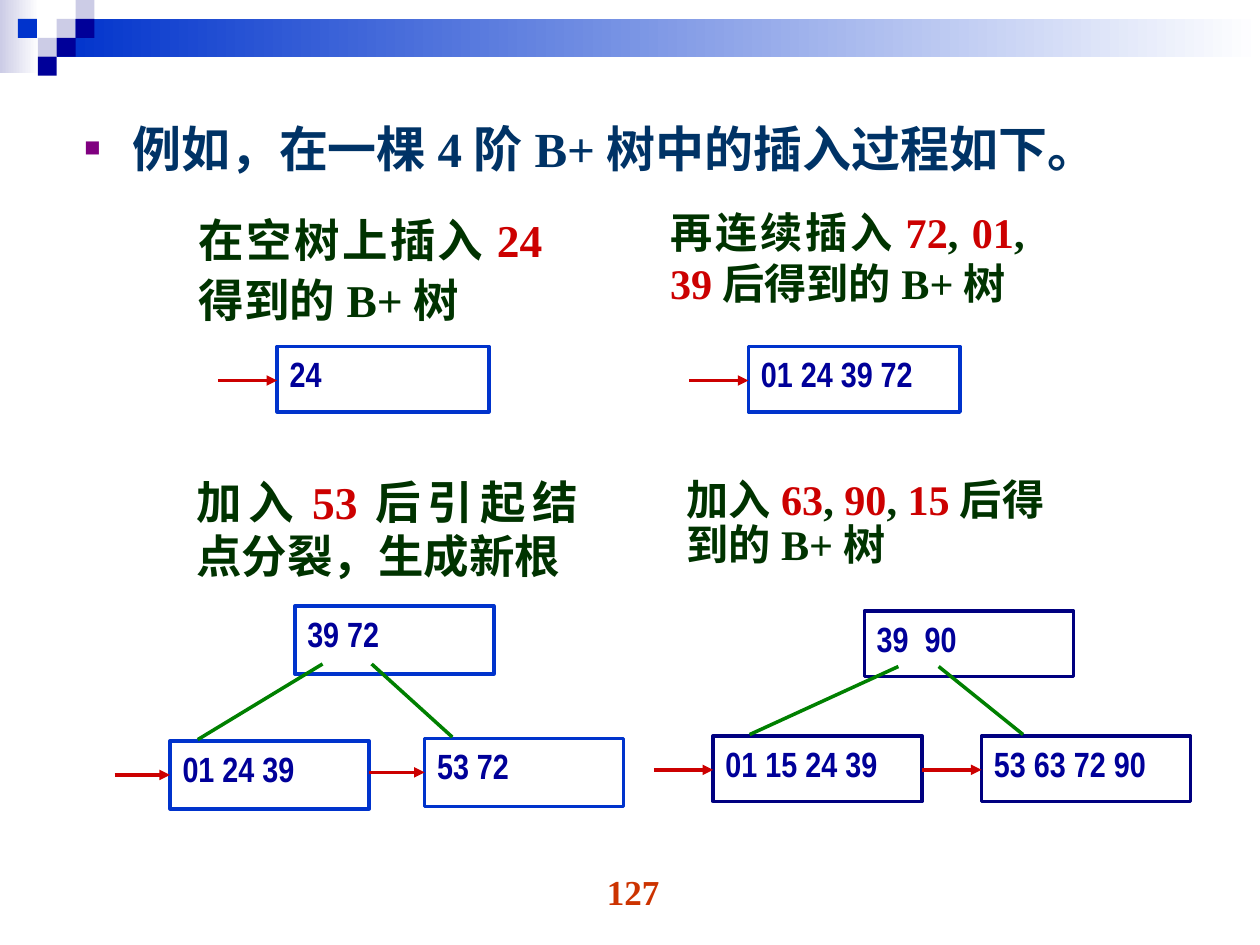
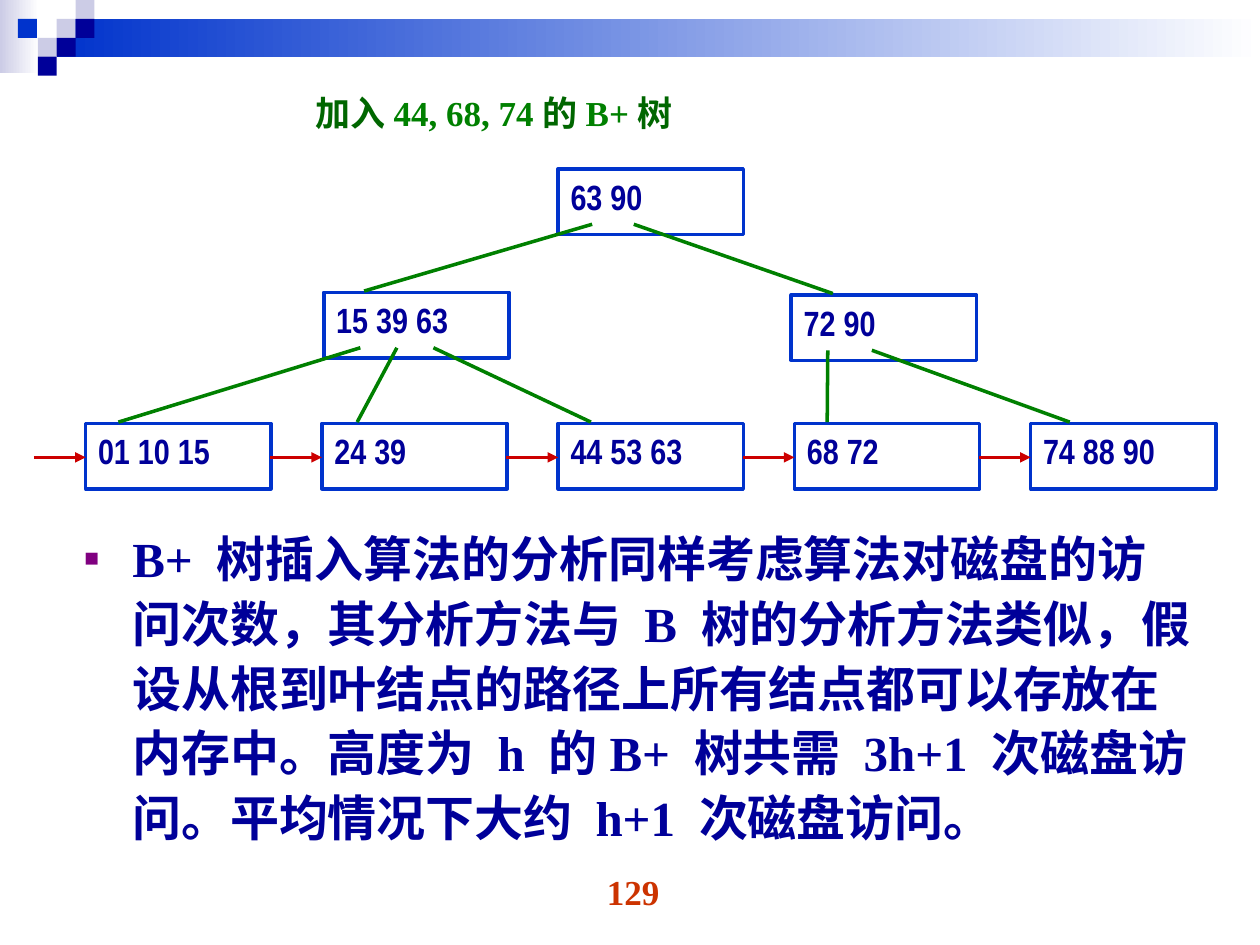
from dataclasses import dataclass

from lxml.etree import SubElement
from pptx import Presentation
from pptx.dml.color import RGBColor
from pptx.enum.shapes import MSO_CONNECTOR, MSO_SHAPE
from pptx.enum.text import MSO_ANCHOR, MSO_AUTO_SIZE, PP_ALIGN
from pptx.oxml.ns import qn
from pptx.util import Inches, Pt


@dataclass(frozen=True)
class Theme:
    """Colours, fonts and type sizes shared by the slides."""
    white: str = "FFFFFF"
    pale: str = "CCCCE6"
    blue: str = "0033CC"
    navy: str = "000099"
    dark_navy: str = "000080"
    headline: str = "003366"
    caption: str = "003300"
    red: str = "CC0000"
    edge: str = "008000"
    title: str = "006600"
    page: str = "CC3300"
    bullet: str = "800080"
    serif: str = "Times New Roman"
    narrow: str = "Arial Narrow"
    body_size: float = 28
    large_size: float = 26
    medium_size: float = 24.1
    small_size: float = 20
    line_width: float = 2


T = Theme()


def rgb(value):
    """Turn a hex string into a colour."""
    return RGBColor.from_string(value)


def set_all(target, values):
    """Set every attribute named in a dict."""
    for name, value in values.items():
        setattr(target, name, value)


def place(sp, box):
    """Move a shape to a box given in inches."""
    set_all(sp, dict(zip(("left", "top", "width", "height"), map(Inches, box))))


def write(sp, paragraphs, size, font=T.serif, align=PP_ALIGN.JUSTIFY, spacing=1.0):
    """Fill a shape with paragraphs of (text, colour) runs."""
    tf = sp.text_frame
    set_all(tf, {
        "word_wrap": True, "auto_size": MSO_AUTO_SIZE.NONE, "vertical_anchor": MSO_ANCHOR.TOP,
        "margin_left": Inches(0.1), "margin_right": Inches(0.1),
        "margin_top": Inches(0.05), "margin_bottom": Inches(0.05),
    })
    for i, runs in enumerate(paragraphs):
        p = tf.add_paragraph() if i else tf.paragraphs[0]
        set_all(p, {"alignment": align, "line_spacing": spacing, "space_before": Pt(0)})
        for text, color in runs:
            r = p.add_run()
            r.text = text
            set_all(r.font, {"name": font, "size": Pt(size), "bold": True})
            r.font.color.rgb = rgb(color)


def add_text(slide, box, paragraphs, size, **style):
    """Add a text box."""
    sp = slide.shapes.add_textbox(*map(Inches, box))
    write(sp, paragraphs, size, **style)


def add_rect(slide, box):
    """Add a plain rectangle without shadow or fill."""
    sp = slide.shapes.add_shape(MSO_SHAPE.RECTANGLE, *map(Inches, box))
    sp.shadow.inherit = False
    sp.fill.background()
    return sp


def add_line(slide, start, end, color, arrow=False):
    """Add a straight line, with an arrowhead at its end if asked."""
    line = slide.shapes.add_connector(MSO_CONNECTOR.STRAIGHT, *map(Inches, (*start, *end)))
    line.line.width = Pt(T.line_width)
    line.line.color.rgb = rgb(color)
    props = line.element.spPr
    if arrow:
        SubElement(props.find(qn("a:ln")), qn("a:tailEnd"), type="triangle")
    SubElement(props, qn("a:effectLst"))


def add_band(slide):
    """Build the header band and move it to the slide's layout."""
    unit = 0.15
    parts = [((0, 0, 0.31, 0.58), (T.pale, T.white)),
             ((0.45, unit, 9.55, 0.3), (T.blue, T.white))]
    squares = [(3, 1, T.pale), (4, 0, T.pale), (4, 1, T.navy), (2, 2, T.pale),
               (0.95, 1, T.blue), (3, 2, T.navy), (2, 3, T.navy)]
    parts += [((col * unit, row * unit, unit, unit), (color,)) for col, row, color in squares]
    for number, (box, colors) in enumerate(parts, 100):
        sp = add_rect(slide, box)
        sp.line.fill.background()
        if len(colors) == 1:
            sp.fill.solid()
            sp.fill.fore_color.rgb = rgb(colors[0])
        else:
            sp.fill.gradient()
            sp.fill.gradient_angle = 0
            for stop, color in zip(sp.fill.gradient_stops, colors):
                stop.color.rgb = rgb(color)
        sp.element.xpath(".//p:cNvPr")[0].set("id", str(number))
        slide.slide_layout.shapes.element.append(sp.element)


def add_page_number(slide, number):
    """Add the page number at the foot."""
    add_text(slide, (3.86, 6.86, 2.33, 0.52), [[(number, T.page)]], T.small_size,
             align=PP_ALIGN.CENTER)


def add_bullet(slide, box, text, color, bullet_percent):
    """Fill the body placeholder with one bulleted paragraph."""
    sp = slide.placeholders[1]
    place(sp, box)
    props = sp.text_frame.paragraphs[0]._p.get_or_add_pPr()
    props.set("marL", str(Inches(0.38)))
    props.set("indent", str(-Inches(0.38)))
    SubElement(SubElement(props, qn("a:buClr")), qn("a:srgbClr"), val=T.bullet)
    SubElement(props, qn("a:buSzPct"), val=str(bullet_percent * 1000))
    SubElement(props, qn("a:buChar"), char="■")
    write(sp, [[(text, color)]], T.body_size, align=PP_ALIGN.LEFT, spacing=1.1)


def add_tree(slide, origin, size, nodes, edges=(), arrow=0.47, outline=T.blue):
    """Draw nodes (x, y, keys, is_leaf) and edges (parent, offset, child, offset)."""
    width, height = size
    corners = [(origin[0] + x, origin[1] + y) for x, y, _, _ in nodes]
    for (x, y), (_, _, keys, is_leaf) in zip(corners, nodes):
        sp = add_rect(slide, (x, y, width, height))
        sp.line.width = Pt(T.line_width)
        sp.line.color.rgb = rgb(outline)
        write(sp, [[(keys, T.navy)]], T.small_size, font=T.narrow)
        if is_leaf:
            add_line(slide, (x - arrow, y + 0.27), (x, y + 0.27), T.red, arrow=True)
    for parent, start, child, end in edges:
        (px, py), (cx, cy) = corners[parent], corners[child]
        add_line(slide, (px + start, py + height - 0.08), (cx + end, cy - 0.01), T.edge)


def add_stage(slide, box, caption, size, spacing, tree):
    """Draw one insertion step: its caption and the tree below it."""
    add_text(slide, box, caption, size, spacing=spacing)
    add_tree(slide, box[:2], **tree)


def build_steps(slide):
    """Fill the slide with the four insertion steps."""
    slide.shapes.title.element.getparent().remove(slide.shapes.title.element)
    add_bullet(slide, (0.57, 0.84, 9, 0.94), "例如，在一棵4阶B+树中的插入过程如下。", T.headline, 55)
    dark, red = T.caption, T.red

    def single(keys):
        """Describe a tree of one leaf."""
        return {"size": (1.68, 0.52), "nodes": [(0.72, 1.16, keys, True)]}

    stages = [
        ((1.48, 1.59, 3.01, 1.06),
         [[("在空树上插入", dark), ("24", red), ("得到的B+树", dark)]],
         T.large_size, 1.1, single("24")),
        ((5.22, 1.59, 3.01, 1.06),
         [[("再连续插入", dark), ("72", red), (", ", dark), ("01", red), (", ", dark),
           ("39", red), ("后得到的B+树", dark)]],
         T.medium_size, 1.0, single("01 24 39 72")),
        ((1.46, 3.71, 3.23, 1.05),
         [[("加入", dark), ("53", red), ("后引起结点分裂，生成新根", dark)]],
         T.large_size, 1.0,
         {"size": (1.58, 0.54), "arrow": 0.44,
          "nodes": [(0.88, 1.1, "39 72", False), (-0.11, 2.17, "01 24 39", True),
                    (1.91, 2.15, "53 72", True)],
          "edges": [(0, 0.22, 1, 0.22), (0, 0.61, 2, 0.22)]}),
        ((5.35, 3.75, 3.35, 0.94),
         [[("加入", dark), ("63", red), (", ", dark), ("90", red), (", ", dark),
           ("15", red), ("后得", dark)], [("到的B+树", dark)]],
         T.medium_size, 0.9,
         {"size": (1.66, 0.52), "outline": T.dark_navy,
          "nodes": [(1.51, 1.1, "39  90", False), (0.31, 2.09, "01 15 24 39", True),
                    (2.44, 2.09, "53 63 72 90", True)],
          "edges": [(0, 0.27, 1, 0.29), (0, 0.59, 2, 0.33)]}),
    ]
    for stage in stages:
        add_stage(slide, *stage)
    add_page_number(slide, "127")


def build_analysis(slide):
    """Fill the slide with the three-level tree and the cost analysis."""
    title = slide.shapes.title
    place(title, (2.4, 0.68, 5, 0.55))
    write(title, [[("加入", T.title), ("44, 68, 74", T.edge), ("的", T.title),
                   ("B+", T.edge), ("树", T.title)]], T.small_size)
    leaves = ["01 10 15", "24 39", "44 53 63", "68 72", "74 88 90"]
    nodes = [(3.75, 0, "63 90", False), (1.89, 0.98, "15 39 63", False),
             (5.6, 1, "72 90", False)]
    nodes += [(i * 1.875, 2.02, keys, True) for i, keys in enumerate(leaves)]
    edges = [(0, 0.27, 1, 0.32), (0, 0.6, 2, 0.33),
             (1, 0.29, 3, 0.26), (1, 0.58, 4, 0.28), (1, 0.87, 5, 0.26),
             (2, 0.29, 6, 0.26), (2, 0.64, 7, 0.31)]
    add_tree(slide, (0.68, 1.34), (1.47, 0.52), nodes, edges, arrow=0.41)
    add_bullet(slide, (0.57, 4.1, 9, 2.76),
               "B+ 树插入算法的分析同样考虑算法对磁盘的访问次数，其分析方法与 B 树的分析方法类似，"
               "假设从根到叶结点的路径上所有结点都可以存放在内存中。高度为 h 的B+ 树共需 3h+1 "
               "次磁盘访问。平均情况下大约 h+1 次磁盘访问。", T.navy, 50)
    add_page_number(slide, "129")


def main():
    """Build the presentation and save it."""
    prs = Presentation()
    set_all(prs, {"slide_width": Inches(10), "slide_height": Inches(7.5)})
    layout = prs.slide_layouts.get_by_name("Title and Content")
    slides = [prs.slides.add_slide(layout) for _ in range(2)]
    add_band(slides[0])
    for build, slide in zip((build_steps, build_analysis), slides):
        build(slide)
    prs.save("out.pptx")


if __name__ == "__main__":
    main()
